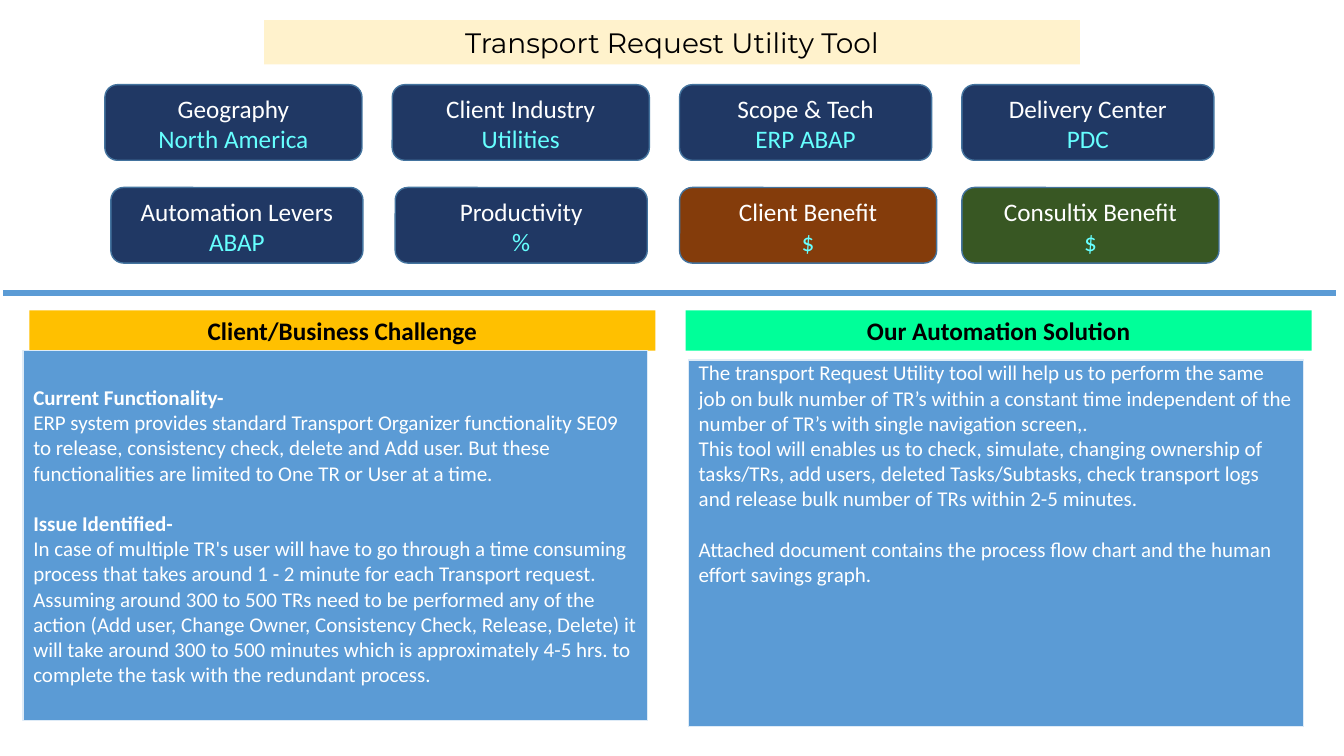
from dataclasses import dataclass

from lxml.etree import SubElement
from pptx import Presentation
from pptx.dml.color import RGBColor
from pptx.enum.shapes import MSO_CONNECTOR, MSO_SHAPE
from pptx.enum.text import MSO_ANCHOR, MSO_AUTO_SIZE, PP_ALIGN
from pptx.oxml.ns import qn
from pptx.shapes.base import BaseShape
from pptx.slide import Slide
from pptx.text.text import TextFrame
from pptx.util import Inches, Pt

BLACK = RGBColor(0x00, 0x00, 0x00)
WHITE = RGBColor(0xFF, 0xFF, 0xFF)
CYAN = RGBColor(0x66, 0xFF, 0xFF)
NAVY = RGBColor(0x20, 0x38, 0x64)
BROWN = RGBColor(0x84, 0x3C, 0x0B)
GREEN = RGBColor(0x38, 0x57, 0x23)
CARD_EDGE = RGBColor(0x43, 0x73, 0x9E)
BLUE = RGBColor(0x5B, 0x9B, 0xD5)
PALE_BLUE = RGBColor(0xDE, 0xEB, 0xF7)
CREAM = RGBColor(0xFF, 0xF2, 0xCC)
AMBER = RGBColor(0xFF, 0xC0, 0x00)
MINT = RGBColor(0x00, 0xFF, 0x99)

Box = tuple[float, float, float, float]
COMPARISON_LAYOUT = 3 + 1
TOP_ROW, BOTTOM_ROW = 0.84, 1.86
CARD_HEIGHT = 0.75


@dataclass
class Card:
    label: str
    value: str
    left: float
    top: float
    width: float = 2.5
    fill: RGBColor = NAVY


@dataclass
class Para:
    text: str
    bold: bool = False
    before: float = 0


@dataclass
class Panel:
    heading: str
    heading_box: Box
    heading_fill: RGBColor
    body_box: Box
    anchor: MSO_ANCHOR
    top_inset: float
    paras: list[Para]


CARDS = [
    Card("Geography", "North America", 1.04, TOP_ROW, 2.55),
    Card("Client Industry", "Utilities", 3.89, TOP_ROW, 2.55),
    Card("Scope & Tech", "ERP ABAP", 6.74, TOP_ROW),
    Card("Delivery Center", "PDC", 9.54, TOP_ROW),
    Card("Automation Levers", "ABAP", 1.1, BOTTOM_ROW),
    Card("Productivity", "%", 3.92, BOTTOM_ROW),
    Card("Client Benefit", "$", 6.74, BOTTOM_ROW, 2.55, BROWN),
    Card("Consultix Benefit", "$", 9.54, BOTTOM_ROW, 2.55, GREEN),
]

PANELS = [
    Panel(
        "Client/Business Challenge", (0.29, 3.08, 6.21, 0.4), AMBER,
        (0.23, 3.48, 6.19, 3.67), MSO_ANCHOR.MIDDLE, 0.05,
        [
            Para("Current Functionality-", bold=True),
            Para("ERP system provides standard Transport Organizer functionality SE09 "
                 "to release, consistency check, delete and Add user. But these "
                 "functionalities are limited to One TR or User at a time."),
            Para("Issue Identified-", bold=True, before=18),
            Para("In case of multiple TR's user will have to go through a time consuming "
                 "process that takes around 1 - 2 minute for each Transport request."),
            Para("Assuming around 300 to 500 TRs need to be performed any of the action "
                 "(Add user, Change Owner, Consistency Check, Release, Delete) it will "
                 "take around 300 to 500 minutes which is approximately 4-5 hrs. to "
                 "complete the task with the redundant process."),
        ],
    ),
    Panel(
        "Our Automation Solution", (6.8, 3.08, 6.21, 0.4), MINT,
        (6.83, 3.57, 6.1, 3.64), MSO_ANCHOR.TOP, 0,
        [
            Para("The transport Request Utility tool will help us to perform the same job "
                 "on bulk number of TR’s within a constant time independent of the number "
                 "of TR’s with single navigation screen,."),
            Para("This tool will enables us to check, simulate, changing ownership of "
                 "tasks/TRs, add users, deleted Tasks/Subtasks, check transport logs and "
                 "release bulk number of TRs within 2-5 minutes."),
            Para("Attached document contains the process flow chart and the human effort "
                 "savings graph.", before=18),
        ],
    ),
]


def write(tf: TextFrame, text: str, *, size: float = 18, color: RGBColor = WHITE,
          font: str = "Calibri", bold: bool = False,
          align: PP_ALIGN = PP_ALIGN.CENTER, before: float = 0) -> None:
    """Fill the frame's empty first paragraph, or add another below."""
    p = tf.paragraphs[-1] if not tf.text else tf.add_paragraph()
    p.alignment = align
    p.space_before = Pt(before)
    pPr = p._p.get_or_add_pPr()
    pPr.set("marL", "0")
    pPr.set("indent", "0")
    SubElement(pPr, qn("a:buNone"))
    r = p.add_run()
    r.text = text
    r.font.name = font
    r.font.size = Pt(size)
    r.font.bold = bold
    r.font.color.rgb = color


def style(sp: BaseShape, fill: RGBColor, edge: RGBColor | None = None,
          anchor: MSO_ANCHOR = MSO_ANCHOR.TOP) -> TextFrame:
    sp.fill.solid()
    sp.fill.fore_color.rgb = fill
    if edge is None:
        sp.line.fill.background()
    else:
        sp.line.color.rgb = edge
        sp.line.width = Pt(1)
    tf = sp.text_frame
    tf.word_wrap = True
    tf.auto_size = MSO_AUTO_SIZE.NONE
    tf.vertical_anchor = anchor
    return tf


def place(sp: BaseShape, box: Box) -> BaseShape:
    sp.left, sp.top, sp.width, sp.height = map(Inches, box)
    return sp


def add_card(s: Slide, card: Card) -> None:
    box = map(Inches, (card.left, card.top, card.width, CARD_HEIGHT))
    sp = s.shapes.add_shape(MSO_SHAPE.ROUNDED_RECTANGLE, *box)
    sp.shadow.inherit = False
    tf = style(sp, card.fill, CARD_EDGE)
    write(tf, card.label)
    write(tf, card.value, color=CYAN)


def fill_panel(heading: BaseShape, body: BaseShape, panel: Panel) -> None:
    tf = style(place(heading, panel.heading_box), panel.heading_fill)
    write(tf, panel.heading, color=BLACK, bold=True)
    tf = style(place(body, panel.body_box), BLUE, PALE_BLUE, panel.anchor)
    tf.margin_top = Inches(panel.top_inset)
    for para in panel.paras:
        write(tf, para.text, size=15, bold=para.bold, before=para.before,
              align=PP_ALIGN.LEFT)


def add_divider(s: Slide) -> None:
    y = Inches(2.91)
    line = s.shapes.add_connector(MSO_CONNECTOR.STRAIGHT, Inches(0.03), y, Inches(13.25), y)
    line.line.color.rgb = BLUE
    line.line.width = Pt(4.5)
    SubElement(line._element.spPr, qn("a:effectLst"))


def main() -> None:
    prs = Presentation()
    prs.slide_width, prs.slide_height = Inches(13.33), Inches(7.5)
    s = prs.slides.add_slide(prs.slide_layouts[COMPARISON_LAYOUT])
    title, *fields = s.placeholders
    tf = style(place(title, (2.62, 0.2, 8.09, 0.44)), CREAM)
    write(tf, "Transport Request Utility Tool", size=20, color=BLACK, font="Montserrat")
    add_divider(s)
    for card in CARDS:
        add_card(s, card)
    for heading, body, panel in zip(fields[::2], fields[1::2], PANELS):
        fill_panel(heading, body, panel)
    prs.save("out.pptx")


if __name__ == "__main__":
    main()
